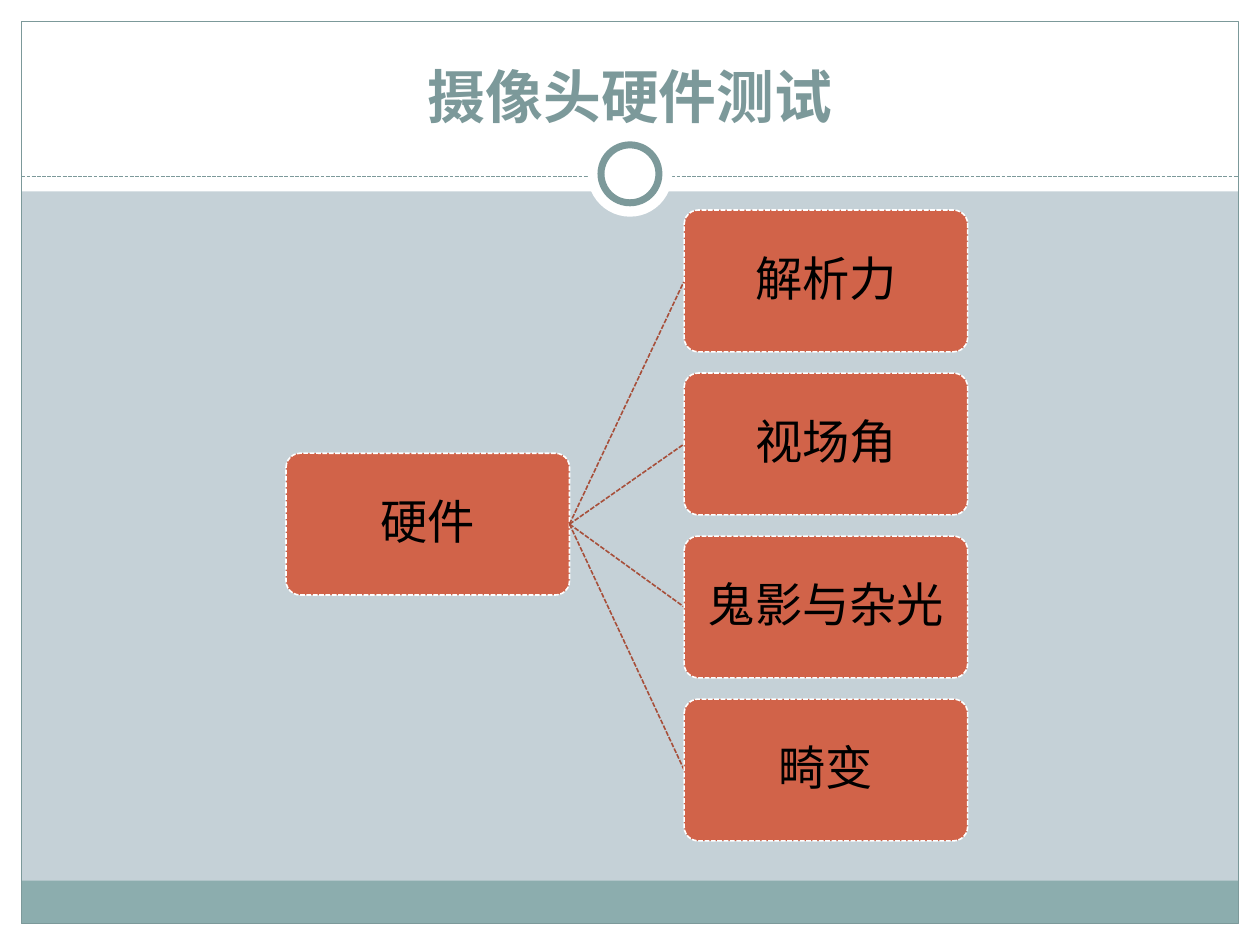
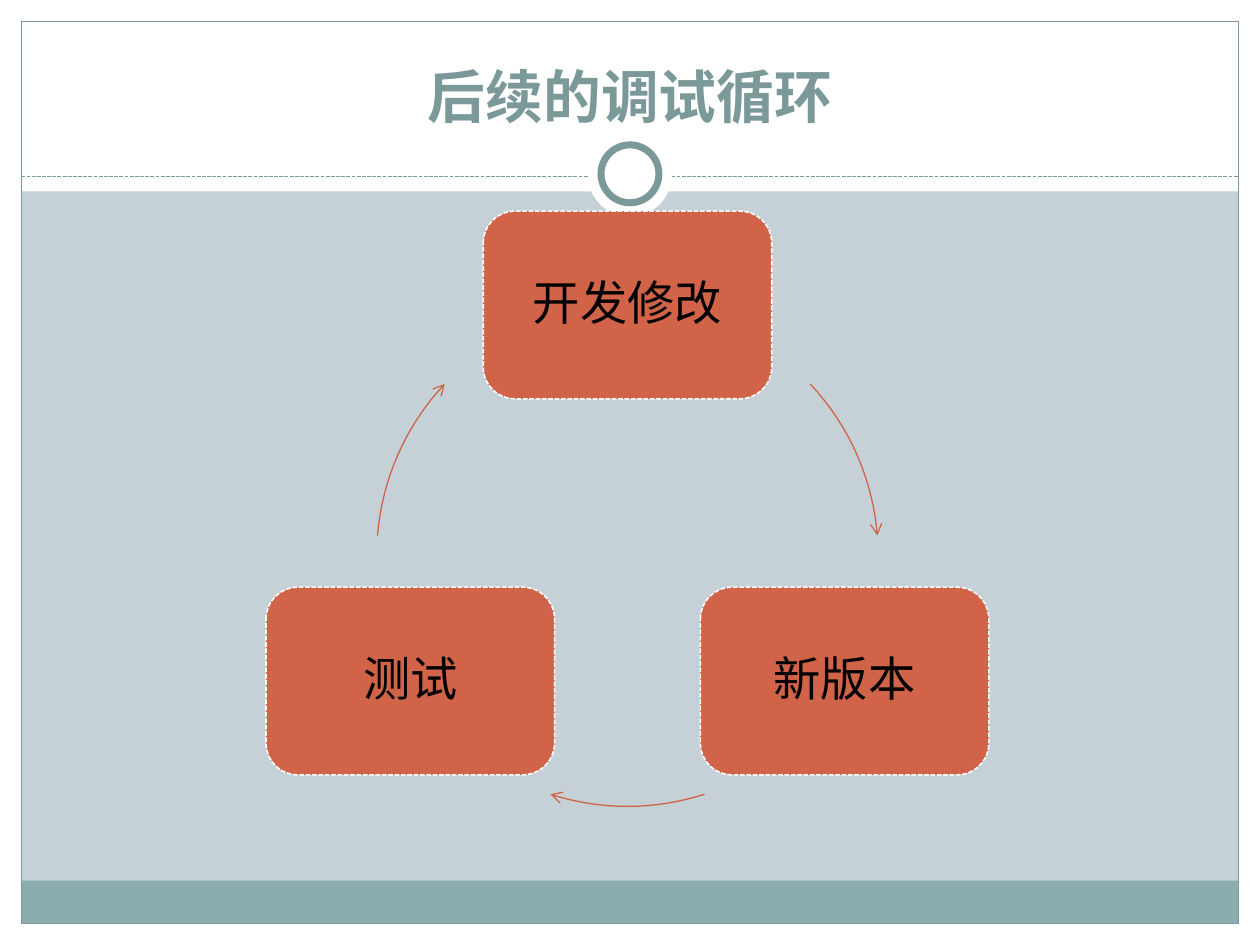
from math import cos, radians, sin

from lxml import etree
from pptx import Presentation
from pptx.dml.color import RGBColor
from pptx.enum.dml import MSO_LINE
from pptx.enum.shapes import MSO_CONNECTOR, MSO_SHAPE
from pptx.enum.text import MSO_ANCHOR, PP_ALIGN
from pptx.oxml.ns import qn
from pptx.util import Inches, Pt

RECT, ROUNDED, OVAL = MSO_SHAPE.RECTANGLE, MSO_SHAPE.ROUNDED_RECTANGLE, MSO_SHAPE.OVAL
STRAIGHT, DASH = MSO_CONNECTOR.STRAIGHT, MSO_LINE.SQUARE_DOT
CENTER, MIDDLE, BOTTOM = PP_ALIGN.CENTER, MSO_ANCHOR.MIDDLE, MSO_ANCHOR.BOTTOM

COLUMNS, ROWS = 100, 75
FONT = "Noto Sans CJK SC"
WHITE, BLACK = "FFFFFF", "000000"
BACKGROUND, BAND, ACCENT = "C5D1D7", "8CADAE", "7C999A"
BOX, BRANCH = "D16349", "A74F3A"


def color(hex_string):
    return RGBColor.from_string(hex_string)


class SlideBuilder:
    """Places styled elements by grid column and row on the current slide."""

    def __init__(self):
        self.deck = Presentation()
        self.deck.slide_width, self.deck.slide_height = Inches(10), Inches(7.5)
        self.page = None

    def x(self, column):
        return round(self.deck.slide_width * column / COLUMNS)

    def y(self, row):
        return round(self.deck.slide_height * row / ROWS)

    def area(self, left, top, width, height):
        return self.x(left), self.y(top), self.x(width), self.y(height)

    def stroke(self, line, hex_string, width, dashed=False):
        line.color.rgb = color(hex_string)
        line.width = Pt(width)
        if dashed:
            line.dash_style = DASH

    def shape(self, kind, area, fill=None, line=None, width=0.75, dashed=False):
        shape = self.page.shapes.add_shape(kind, *self.area(*area))
        shape.shadow.inherit = False
        if fill:
            shape.fill.solid()
            shape.fill.fore_color.rgb = color(fill)
        else:
            shape.fill.background()
        if line:
            self.stroke(shape.line, line, width, dashed)
        else:
            shape.line.fill.background()
        return shape

    def line(self, start, end, hex_string, width):
        """Draw a dashed straight line."""
        connector = self.page.shapes.add_connector(
            STRAIGHT, self.x(start[0]), self.y(start[1]), self.x(end[0]), self.y(end[1]))
        self.stroke(connector.line, hex_string, width, dashed=True)
        etree.SubElement(connector._element.spPr, qn("a:effectLst"))

    def set_text(self, shape, text, size, hex_string, anchor, bold=False):
        frame = shape.text_frame
        frame.word_wrap = True
        frame.vertical_anchor = anchor
        paragraph = frame.paragraphs[0]
        paragraph.text = text
        paragraph.alignment = CENTER
        font = paragraph.font
        font.name, font.size, font.bold = FONT, Pt(size), bold
        font.color.rgb = color(hex_string)
        defaults = paragraph._p.pPr.find(qn("a:defRPr"))
        etree.SubElement(defaults, qn("a:ea"), typeface=FONT)
        return frame

    def box(self, text, center, size, corner, inset):
        """Draw a rounded diagram node around its center."""
        (column, row), (width, height) = center, size
        node = self.shape(ROUNDED, (column - width / 2, row - height / 2, width, height),
                          BOX, WHITE, 0.9, dashed=True)
        node.adjustments[0] = corner
        frame = self.set_text(node, text, 27, BLACK, MIDDLE)
        frame.margin_left = frame.margin_right = Inches(inset)
        frame.margin_top = frame.margin_bottom = Inches(inset)
        paragraph = frame.paragraphs[0]
        paragraph.line_spacing = 0.9
        paragraph.space_after = Pt(0.35 * 27)

    def arc_arrow(self, center, radius, start, end, steps=16):
        """Draw a clockwise arc between two angles, with an open arrowhead."""
        angles = [radians(start + (end - start) * step / steps) for step in range(steps + 1)]
        points = [(self.x(center[0] + radius * cos(angle)),
                   self.y(center[1] + radius * sin(angle))) for angle in angles]
        builder = self.page.shapes.build_freeform(*points[0])
        builder.add_line_segments(points[1:], close=False)
        arc = builder.convert_to_shape()
        arc.shadow.inherit = False
        arc.fill.background()
        self.stroke(arc.line, BOX, 0.75)
        etree.SubElement(arc.line._get_or_add_ln(), qn("a:tailEnd"), type="arrow")

    def new_slide(self, title):
        self.page = self.deck.slides.add_slide(self.deck.slide_layouts[6])
        background = self.page.background.fill
        background.solid()
        background.fore_color.rgb = color(BACKGROUND)
        edge = 1.7
        inner_width, inner_height = COLUMNS - 2 * edge, ROWS - 2 * edge
        for area in ((0, ROWS - edge, COLUMNS, edge), (0, 0, COLUMNS, 15.2),
                     (0, 0, edge, ROWS), (COLUMNS - edge, 0, edge, ROWS)):
            self.shape(RECT, area, WHITE)
        self.shape(RECT, (edge, 69.9, inner_width, 3.4), BAND)
        self.shape(RECT, (edge, edge, inner_width, inner_height), line=ACCENT)
        self.line((edge, 14), (COLUMNS - edge, 14), ACCENT, 0.75)
        self.shape(OVAL, (46.65, 10.5, 6.7, 6.7), WHITE)
        self.shape(OVAL, (47.7, 11.5, 4.6, 4.6), WHITE, ACCENT, 4)
        heading = self.page.shapes.add_textbox(*self.area(3.3, 2.5, 93.4, 8.3))
        self.set_text(heading, title, 33, ACCENT, BOTTOM, bold=True)


def hardware_tree(builder):
    builder.new_slide("摄像头硬件测试")
    tests = ["解析力", "视场角", "鬼影与杂光", "畸变"]
    size = width, height = 22.5, 11.25
    pitch = height * 1.15
    root, leaf_column, first_row = (33.95, 41.6), 65.55, 22.3
    style = {"size": size, "corner": 0.1, "inset": 0.02}
    builder.box("硬件", root, **style)
    for index, test in enumerate(tests):
        row = first_row + index * pitch
        builder.line((root[0] + width / 2, root[1]), (leaf_column - width / 2, row), BRANCH, 0.9)
        builder.box(test, (leaf_column, row), **style)


def debug_cycle(builder):
    builder.new_slide("后续的调试循环")
    center, radius = (49.8, 44.1), 19.9
    stages = ["开发修改", "新版本", "测试"]
    arcs = [(-43.2, -4.6), (72.1, 107.9), (184.6, 223.2)]
    for index, (stage, arc) in enumerate(zip(stages, arcs)):
        angle = radians(-90 + index * 360 / len(stages))
        position = center[0] + radius * cos(angle), center[1] + radius * sin(angle)
        builder.box(stage, position, (22.9, 14.9), 0.17, 0.11)
        builder.arc_arrow(center, radius, *arc)


def main():
    builder = SlideBuilder()
    hardware_tree(builder)
    debug_cycle(builder)
    builder.deck.save("out.pptx")


if __name__ == "__main__":
    main()
